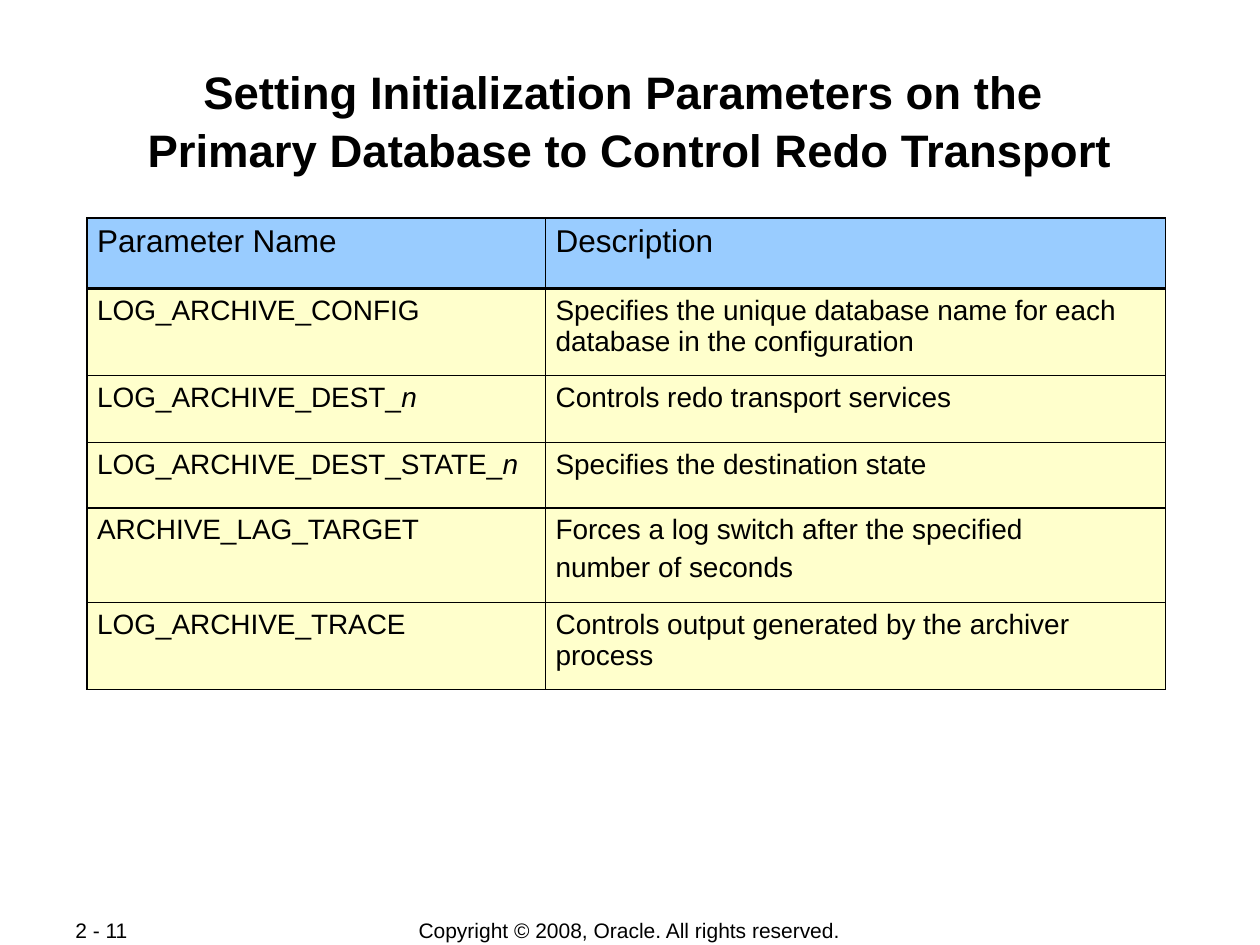
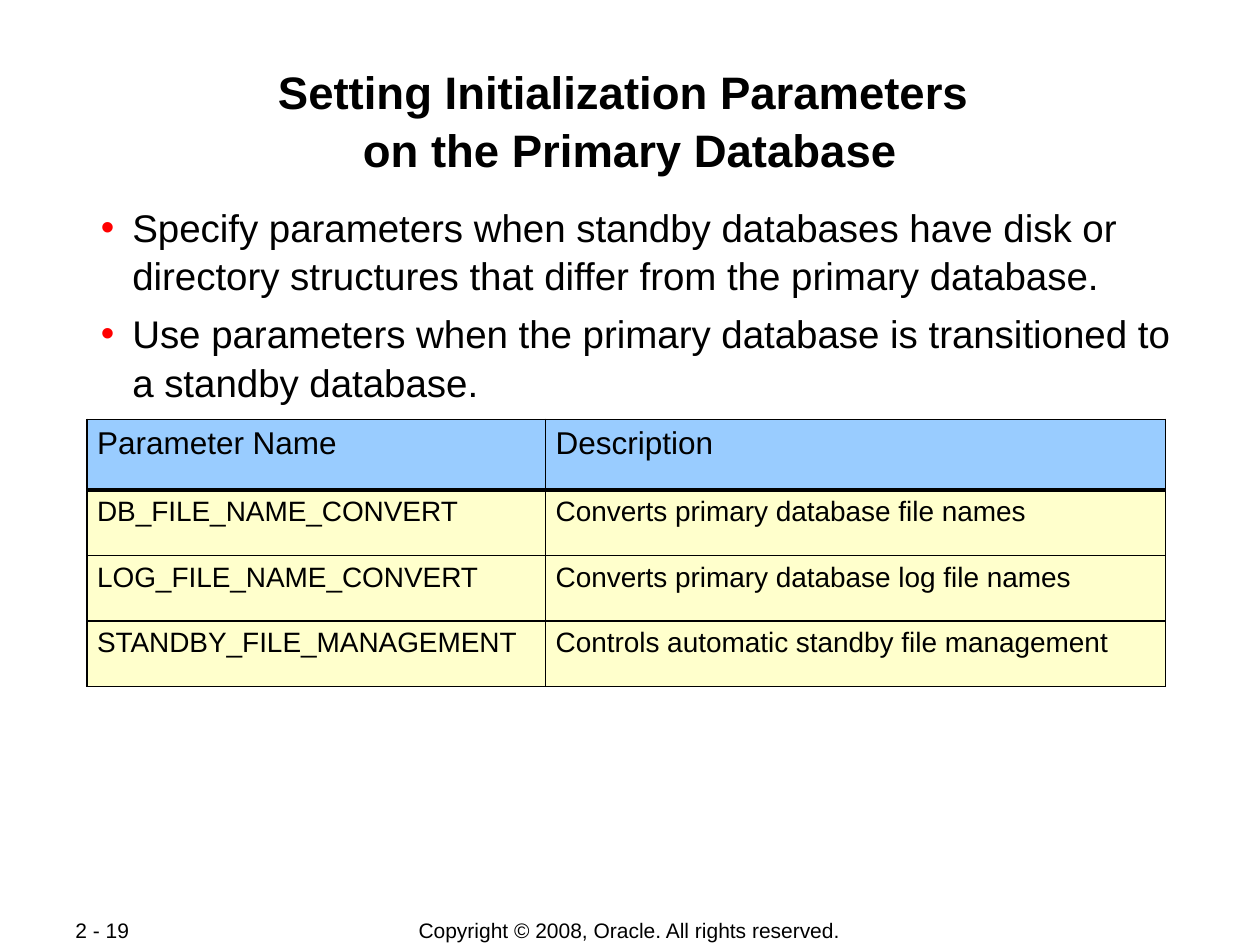
"""Build two slides on initialization parameters of a primary database."""
import dataclasses
import typing

import lxml.etree
import pptx
import pptx.dml.color
import pptx.enum.text
import pptx.oxml.ns
import pptx.util

Pt = pptx.util.Pt
Inches = pptx.util.Inches
RGBColor = pptx.dml.color.RGBColor
Align = pptx.enum.text.PP_ALIGN
Anchor = pptx.enum.text.MSO_ANCHOR
qn = pptx.oxml.ns.qn

BLACK = RGBColor(0x00, 0x00, 0x00)
RED = RGBColor(0xFF, 0x00, 0x00)
HEADER_BLUE = RGBColor(0x99, 0xCC, 0xFF)
ROW_CREAM = RGBColor(0xFF, 0xFF, 0xCC)

SLIDE_WIDTH, SLIDE_HEIGHT = Inches(10), Inches(7.5)
THIN, THICK = Pt(1.08), Pt(2.21)
HEADER_ROW, SINGLE_ROW, WRAPPED_ROW = 7.47, 6.93, 9.2
TABLE_LEFT = 6.9
COLUMN_WIDTHS = (36.4, 49.2)
COPYRIGHT = "Copyright © 2008, Oracle. All rights reserved."

BASE_FONT = {"name": "Arial", "bold": False, "italic": False}
TITLE_FONT = BASE_FONT | {"size": Pt(26), "bold": True}
BULLET_FONT = BASE_FONT | {"size": Pt(22)}
HEADER_FONT = BASE_FONT | {"size": Pt(18)}
ROW_FONT = BASE_FONT | {"size": Pt(16)}
FOOTER_FONT = BASE_FONT | {"size": Pt(12)}

PLACEHOLDER_FRAME = {
    "margin_left": Inches(0.01), "margin_right": Inches(0.01),
    "margin_top": Inches(0.01), "margin_bottom": Inches(0.01),
    "vertical_anchor": Anchor.TOP, "word_wrap": True,
    "auto_size": pptx.enum.text.MSO_AUTO_SIZE.NONE,
}
FOOTER_FRAME = {
    "margin_top": 0, "margin_bottom": 0,
    "vertical_anchor": Anchor.MIDDLE, "word_wrap": True,
}
CELL_FORMAT = {
    "margin_left": Inches(0.08), "margin_right": Inches(0.08),
    "margin_top": Inches(0.05), "margin_bottom": Inches(0.05),
    "vertical_anchor": Anchor.TOP,
}


@dataclasses.dataclass(frozen=True)
class Area:
    """A rectangle in percent of the slide's width and height."""
    left: float
    top: float
    width: float
    height: float

    def box(self) -> dict[str, int]:
        """Return the rectangle as lengths by attribute name."""
        return {"left": across(self.left), "top": down(self.top),
                "width": across(self.width), "height": down(self.height)}


@dataclasses.dataclass(frozen=True)
class Parameter:
    """A table row; its height is in percent of the slide's height."""
    name: str
    description: str
    height: float = SINGLE_ROW
    variable: str = ""


@dataclasses.dataclass(frozen=True)
class Page:
    """The content of one slide."""
    number: str
    title: str
    table_top: float
    parameters: tuple[Parameter, ...]
    bullets: tuple[str, ...] = ()


TITLE_AREA = Area(6.7, 6.4, 86.6, 12.8)
BULLET_AREA = Area(6.7, 21.2, 86.6, 20.93)
COPYRIGHT_AREA = Area(27.5, 97.07, 44.9, 2.8)
NUMBER_AREA = Area(5, 97.07, 10.6, 2.7)
HEADINGS = Parameter("Parameter Name", "Description", HEADER_ROW)

PAGES = (
    Page(
        "2 - 11",
        "Setting Initialization Parameters on the \vPrimary Database to Control Redo Transport",
        23.07,
        (
            Parameter("LOG_ARCHIVE_CONFIG",
                      "Specifies the unique database name for each database in the configuration",
                      WRAPPED_ROW),
            Parameter("LOG_ARCHIVE_DEST_", "Controls redo transport services", 7.1, "n"),
            Parameter("LOG_ARCHIVE_DEST_STATE_", "Specifies the destination state", variable="n"),
            Parameter("ARCHIVE_LAG_TARGET",
                      "Forces a log switch after the specified\nnumber of seconds", 10),
            Parameter("LOG_ARCHIVE_TRACE", "Controls output generated by the archiver process",
                      WRAPPED_ROW),
        ),
    ),
    Page(
        "2 - 19",
        "Setting Initialization Parameters \von the Primary Database",
        44.4,
        (
            Parameter("DB_FILE_NAME_CONVERT", "Converts primary database file names"),
            Parameter("LOG_FILE_NAME_CONVERT", "Converts primary database log file names"),
            Parameter("STANDBY_FILE_MANAGEMENT", "Controls automatic standby file management"),
        ),
        (
            "Specify parameters when standby databases have disk or directory structures "
            "that differ from the primary database.",
            "Use parameters when the primary database is transitioned to a standby database.",
        ),
    ),
)


def across(percent: float) -> int:
    """Convert a share of the slide's width to a length."""
    return round(SLIDE_WIDTH * percent / 100)


def down(percent: float) -> int:
    """Convert a share of the slide's height to a length."""
    return round(SLIDE_HEIGHT * percent / 100)


def apply(target: typing.Any, values: dict[str, typing.Any]) -> None:
    """Set each named value on the target."""
    for name, value in values.items():
        setattr(target, name, value)


def set_font(font: typing.Any, values: dict[str, typing.Any]) -> None:
    """Format a font in black."""
    apply(font, values)
    font.color.rgb = BLACK


def add_color(parent: typing.Any, tag: str, color: RGBColor) -> None:
    """Append an element that holds one colour."""
    holder = lxml.etree.SubElement(parent, qn(tag))
    lxml.etree.SubElement(holder, qn("a:srgbClr"), val=str(color))


def add_bullet(paragraph: typing.Any) -> None:
    """Give a paragraph a red bullet and a hanging indent."""
    properties = paragraph._p.get_or_add_pPr()
    properties.set("marL", str(Inches(0.37)))
    properties.set("indent", str(Inches(-0.25)))
    add_color(properties, "a:buClr", RED)
    lxml.etree.SubElement(properties, qn("a:buFont"), typeface="Arial")
    lxml.etree.SubElement(properties, qn("a:buChar"), char="•")


def fill_placeholder(placeholder: typing.Any, area: Area, text: str,
                     font: dict[str, typing.Any], layout: dict[str, typing.Any],
                     gap: float = 0, bulleted: bool = False) -> None:
    """Place a template placeholder and write its paragraphs."""
    apply(placeholder, area.box())
    frame = placeholder.text_frame
    apply(frame, PLACEHOLDER_FRAME)
    frame.text = text
    for index, paragraph in enumerate(frame.paragraphs):
        if bulleted:
            add_bullet(paragraph)
        apply(paragraph, layout | {"space_before": Pt(gap if index else 0)})
        for run in paragraph.runs:
            set_font(run.font, font)


def add_footer(slide: typing.Any, area: Area, text: str, alignment: Align) -> None:
    """Write one footer text."""
    frame = slide.shapes.add_textbox(**area.box()).text_frame
    apply(frame, FOOTER_FRAME)
    frame.text = text
    frame.paragraphs[0].alignment = alignment
    set_font(frame.paragraphs[0].runs[0].font, FOOTER_FONT)


def format_cell(cell: typing.Any, row: int) -> None:
    """Set the margins, borders and fill of a cell, thick under the header."""
    apply(cell, CELL_FORMAT)
    widths = {"a:lnL": THIN, "a:lnR": THIN,
              "a:lnT": THICK if row == 1 else THIN,
              "a:lnB": THICK if row == 0 else THIN}
    properties = cell._tc.get_or_add_tcPr()
    for tag, width in widths.items():
        border = lxml.etree.SubElement(properties, qn(tag), w=str(width))
        add_color(border, "a:solidFill", BLACK)
    cell.fill.solid()
    cell.fill.fore_color.rgb = ROW_CREAM if row else HEADER_BLUE


def write_cell(cell: typing.Any, text: str, font: dict[str, typing.Any],
               variable: str = "") -> None:
    """Write a cell's paragraphs, ending in an italic variable if there is one."""
    cell.text = text
    for index, paragraph in enumerate(cell.text_frame.paragraphs):
        paragraph.space_before = Pt(4 if index else 0)
        set_font(paragraph.runs[0].font, font)
    if variable:
        suffix = paragraph.add_run()
        suffix.text = variable
        set_font(suffix.font, font | {"italic": True})


def add_parameter_table(slide: typing.Any, page: Page) -> None:
    """Draw the table of parameters and descriptions."""
    rows = (HEADINGS, *page.parameters)
    area = Area(TABLE_LEFT, page.table_top, sum(COLUMN_WIDTHS), sum(row.height for row in rows))
    table = slide.shapes.add_table(len(rows), len(COLUMN_WIDTHS), **area.box()).table
    for column, width in zip(table.columns, COLUMN_WIDTHS):
        column.width = across(width)
    for index, parameter in enumerate(rows):
        table.rows[index].height = down(parameter.height)
        font = ROW_FONT if index else HEADER_FONT
        name, description = table.rows[index].cells
        write_cell(name, parameter.name, font, parameter.variable)
        write_cell(description, parameter.description, font)
        for cell in (name, description):
            format_cell(cell, index)


def add_page(deck: typing.Any, page: Page) -> None:
    """Build one slide."""
    slide = deck.slides.add_slide(deck.slide_layouts[1 if page.bullets else 5])
    add_footer(slide, COPYRIGHT_AREA, COPYRIGHT, Align.CENTER)
    add_footer(slide, NUMBER_AREA, page.number, Align.JUSTIFY)
    fill_placeholder(slide.shapes.title, TITLE_AREA, page.title, TITLE_FONT,
                     {"alignment": Align.CENTER, "line_spacing": 1.05})
    add_parameter_table(slide, page)
    if page.bullets:
        fill_placeholder(slide.placeholders[1], BULLET_AREA, "\n".join(page.bullets),
                         BULLET_FONT, {"alignment": Align.LEFT, "line_spacing": 1.05},
                         gap=5.5, bulleted=True)


def main() -> None:
    """Build and save the deck."""
    deck = pptx.Presentation()
    apply(deck, {"slide_width": SLIDE_WIDTH, "slide_height": SLIDE_HEIGHT})
    for page in PAGES:
        add_page(deck, page)
    deck.save("out.pptx")


if __name__ == "__main__":
    main()
